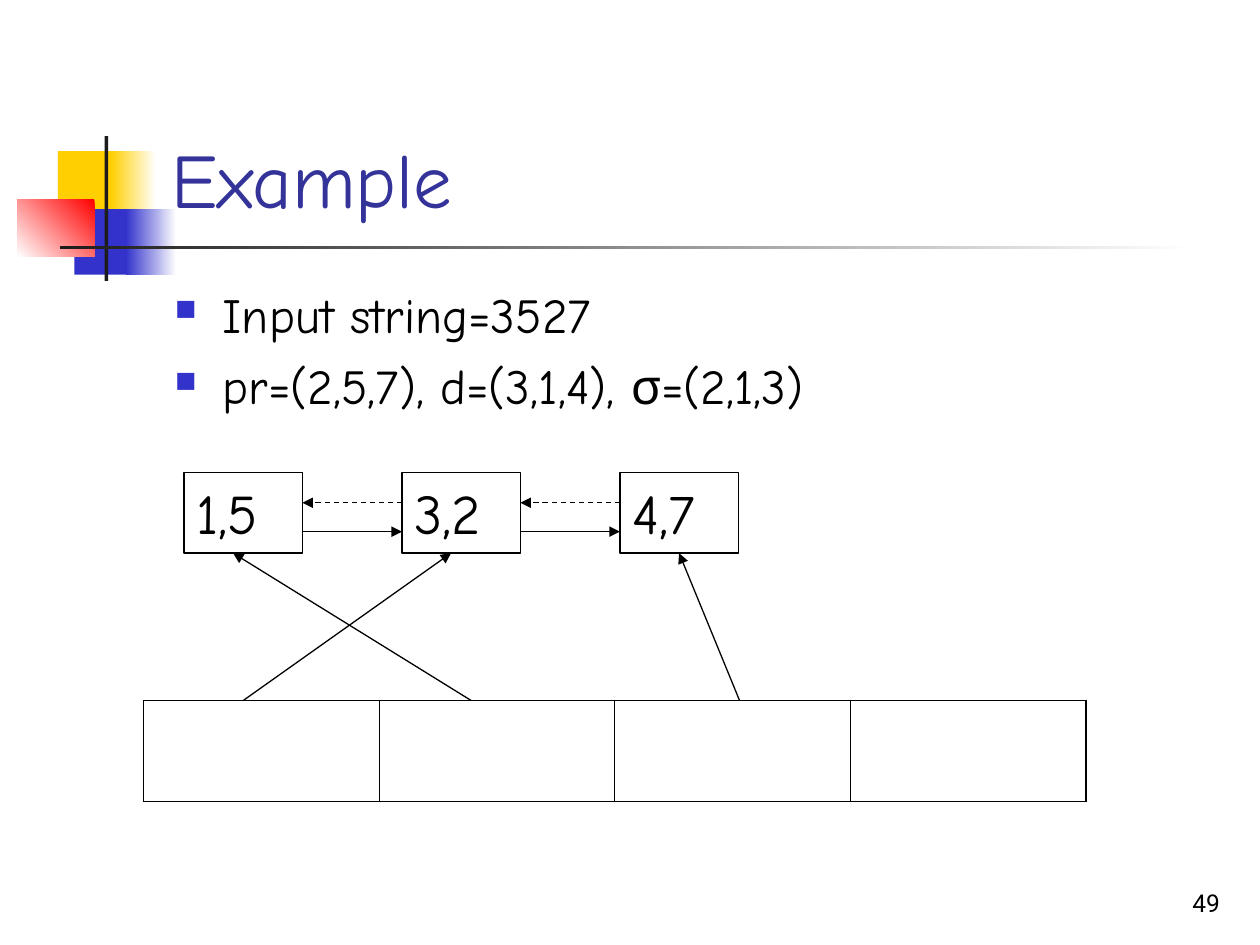
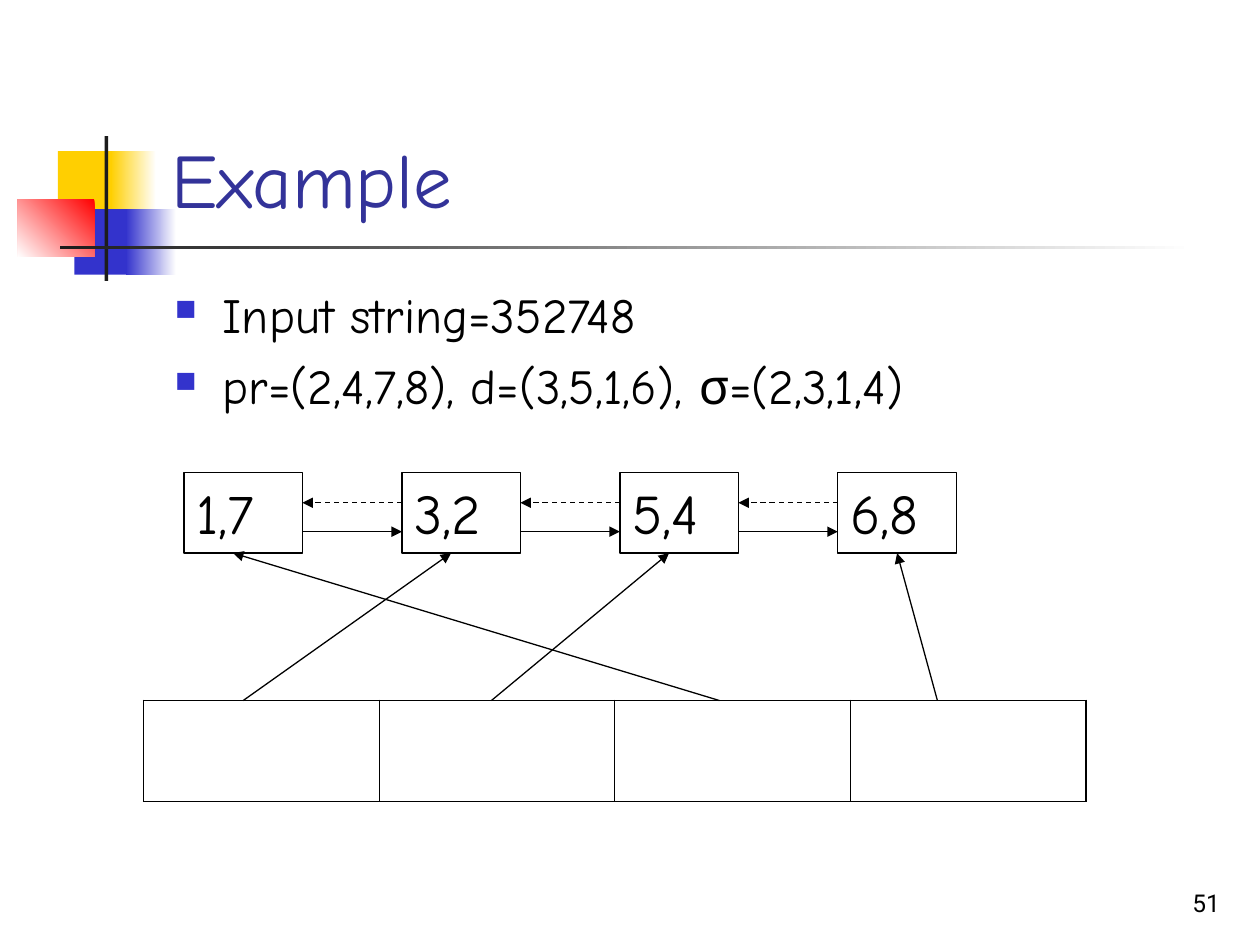
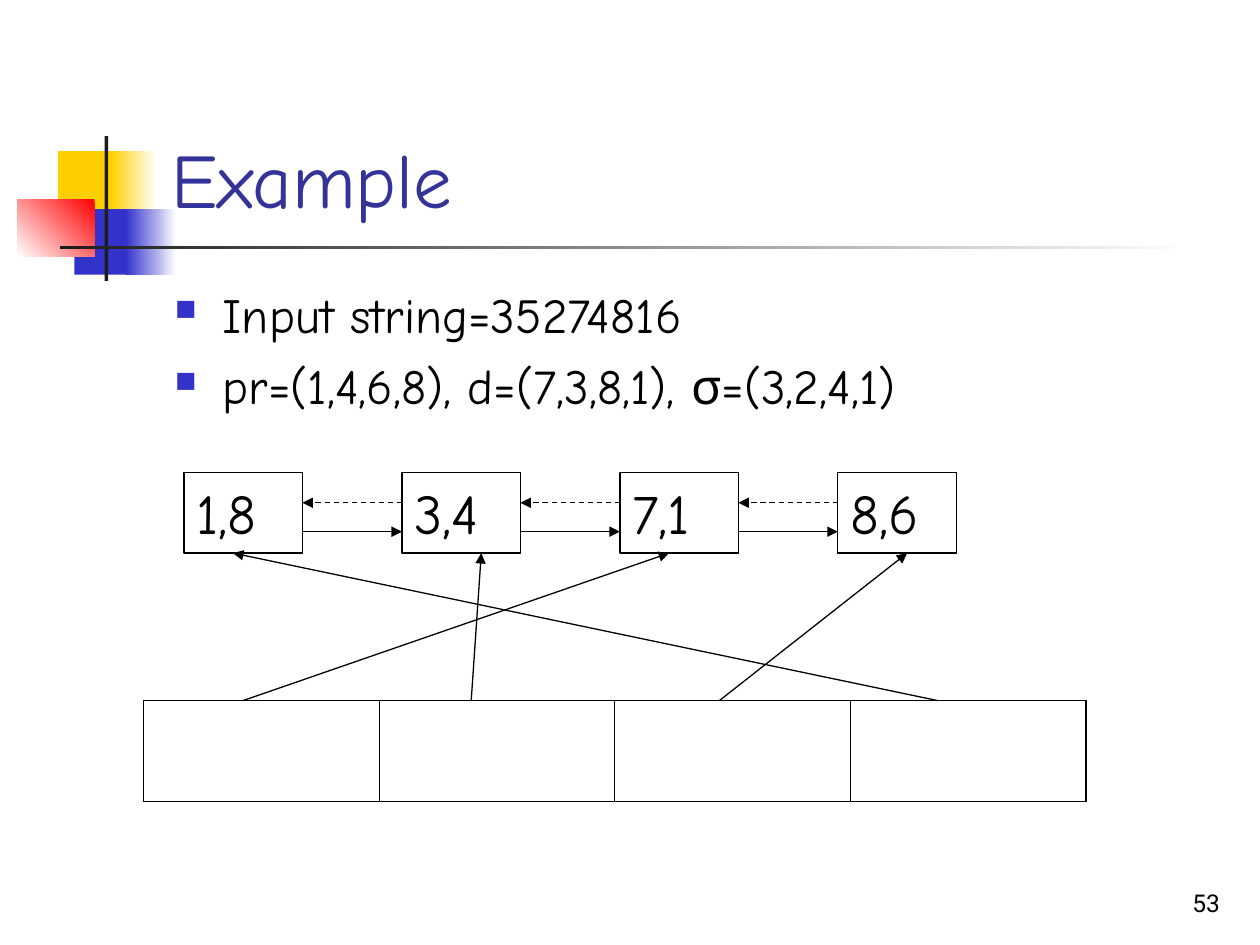
"""Build three example slides that show a linked list above an array."""
from lxml.etree import SubElement
from pptx import Presentation
from pptx.dml.color import RGBColor
from pptx.enum.dml import MSO_LINE
from pptx.enum.shapes import MSO_CONNECTOR, MSO_SHAPE
from pptx.enum.text import MSO_ANCHOR, MSO_AUTO_SIZE, PP_ALIGN
from pptx.oxml.ns import qn
from pptx.util import Inches, Pt

COLORS = {
    "white": "FFFFFF", "black": "000000", "gold": "FFCF01", "blue": "3333CC",
    "red": "FF0000", "dark": "1C1C1C", "title": "333399",
}
RGB = {name: RGBColor.from_string(code) for name, code in COLORS.items()}
HAND, PLAIN = "Comic Neue", "Roboto"

BANDS = [
    ((0.46, 1.2, 0.48, 0.52), ["gold"], 0),
    ((0.88, 1.2, 0.36, 0.52), ["white", "gold"], 180),
    ((0.59, 1.66, 0.46, 0.52), ["blue"], 0),
    ((1, 1.66, 0.4, 0.52), ["white", "blue"], 180),
    ((0.14, 1.58, 0.61, 0.46), ["red", "white"], 225),
    ((0.83, 1.08, 0.03, 1.15), ["dark"], 0),
    ((0.48, 1.95, 9, 0.03), ["white", "dark"], 180),
]

LEFT, TOP, WIDE, HIGH, STEP = 1.46, 3.75, 0.94, 0.64, 1.73
ROW_TOP, COUNT = 5.56, 4

# Each link holds its start on the array, its node and its shift from the node's middle.
PAGES = [
    ("49", ["Input string=3527", "pr=(2,5,7), d=(3,1,4), σ=(2,1,3)"],
     ["1,5", "3,2", "4,7"],
     [(3.74, 0, -0.08), (1.93, 1, -0.08), (5.87, 2, 0)]),
    ("51", ["Input string=352748", "pr=(2,4,7,8), d=(3,5,1,6), σ=(2,3,1,4)"],
     ["1,7", "3,2", "5,4", "6,8"],
     [(1.93, 1, -0.08), (3.9, 2, -0.08), (5.71, 0, -0.08), (7.44, 3, 0)]),
    ("53", ["Input string=35274816", "pr=(1,4,6,8), d=(7,3,8,1), σ=(3,2,4,1)"],
     ["1,8", "3,4", "7,1", "8,6"],
     [(1.93, 2, -0.08), (3.74, 1, 0.16), (5.71, 3, 0.08), (7.44, 0, -0.08)]),
]


def write(shape, text, size, color="black", font=HAND, anchor=MSO_ANCHOR.TOP, align=PP_ALIGN.LEFT):
    frame = shape.text_frame
    frame.text = text
    frame.word_wrap = True
    frame.vertical_anchor = anchor
    for para in frame.paragraphs:
        para.alignment = align
        for run in para.runs:
            run.font.name = font
            run.font.size = Pt(size)
            run.font.color.rgb = RGB[color]
    return frame


def arrow(slide, start, end, dash=False):
    ends = [Inches(n) for n in (*start, *end)]
    link = slide.shapes.add_connector(MSO_CONNECTOR.STRAIGHT, *ends)
    link.line.color.rgb = RGB["black"]
    link.line.width = Pt(0.75)
    if dash:
        link.line.dash_style = MSO_LINE.DASH
    SubElement(link.line._get_or_add_ln(), qn("a:tailEnd"), type="triangle")
    SubElement(link.element.spPr, qn("a:effectLst"))
    return link


prs = Presentation()
prs.slide_width, prs.slide_height = Inches(10), Inches(7.5)
slides = [prs.slides.add_slide(prs.slide_layouts[6]) for page in PAGES]

for num, (at, shades, angle) in enumerate(BANDS):
    band = slides[0].shapes.add_shape(MSO_SHAPE.RECTANGLE, *[Inches(n) for n in at])
    band.shadow.inherit = False
    band.line.fill.background()
    if len(shades) == 1:
        band.fill.solid()
        band.fill.fore_color.rgb = RGB[shades[0]]
    else:
        band.fill.gradient()
        band.fill.gradient_angle = angle
        for stop, shade in zip(band.fill.gradient_stops, shades):
            stop.color.rgb = RGB[shade]
    band.element.nvSpPr.cNvPr.set("id", str(100 + num))
    prs.slide_master.shapes.element.append(band.element)

for slide, (number, lines, nodes, links) in zip(slides, PAGES):
    shapes = slide.shapes
    title = shapes.add_textbox(Inches(1.26), Inches(0.23), Inches(8.52), Inches(1.6))
    write(title, "Example", 44, "title", anchor=MSO_ANCHOR.BOTTOM)

    body = shapes.add_textbox(Inches(1.29), Inches(2.21), Inches(7.41), Inches(4.5))
    frame = write(body, "\n".join(lines), 28)
    for para in frame.paragraphs:
        props = para._p.get_or_add_pPr()
        props.set("marL", str(Inches(0.38)))
        props.set("indent", str(-Inches(0.38)))
        tint = SubElement(props, qn("a:buClr"))
        SubElement(tint, qn("a:srgbClr"), val=COLORS["blue"])
        SubElement(props, qn("a:buSzPct"), val="60000")
        SubElement(props, qn("a:buChar"), char="■")
    for para in frame.paragraphs[1:]:
        para.space_before = Pt(7)

    table = shapes.add_table(1, COUNT, Inches(1.14), Inches(ROW_TOP), Inches(7.48), Inches(0.8)).table
    table.first_row = table.horz_banding = False
    for col, cell in enumerate(table.rows[0].cells):
        props = cell._tc.get_or_add_tcPr()
        widths = {
            "L": 1.08 if col == 0 else 0.45,
            "R": 1.08 if col == COUNT - 1 else 0.45,
            "T": 1.08,
            "B": 1.08,
        }
        for side, width in widths.items():
            edge = SubElement(props, qn("a:ln" + side), w=str(Pt(width)))
            fill = SubElement(edge, qn("a:solidFill"))
            SubElement(fill, qn("a:srgbClr"), val=COLORS["black"])
        cell.fill.background()

    boxes = []
    for pos, node in enumerate(nodes):
        left = LEFT + pos * STEP
        box = shapes.add_shape(MSO_SHAPE.RECTANGLE, Inches(left), Inches(TOP), Inches(WIDE), Inches(HIGH))
        box.shadow.inherit = False
        box.fill.background()
        box.line.color.rgb = RGB["black"]
        box.line.width = Pt(0.75)
        write(box, node, 32).auto_size = MSO_AUTO_SIZE.SHAPE_TO_FIT_TEXT
        boxes.append(box)
        if pos:
            past = left - STEP + WIDE
            arrow(slide, (past, 4.22), (left, 4.22))
            arrow(slide, (left, 3.99), (past, 3.99), dash=True)

    for start, pos, shift in links:
        end = LEFT + pos * STEP + WIDE / 2 + shift
        link = arrow(slide, (start, ROW_TOP), (end, TOP + HIGH))
        if shift == 0:
            link.end_connect(boxes[pos], 2)

    foot = shapes.add_textbox(Inches(7.7), Inches(6.83), Inches(2.08), Inches(0.5))
    write(foot, number, 14, font=PLAIN, anchor=MSO_ANCHOR.BOTTOM, align=PP_ALIGN.RIGHT)

prs.save("out.pptx")
